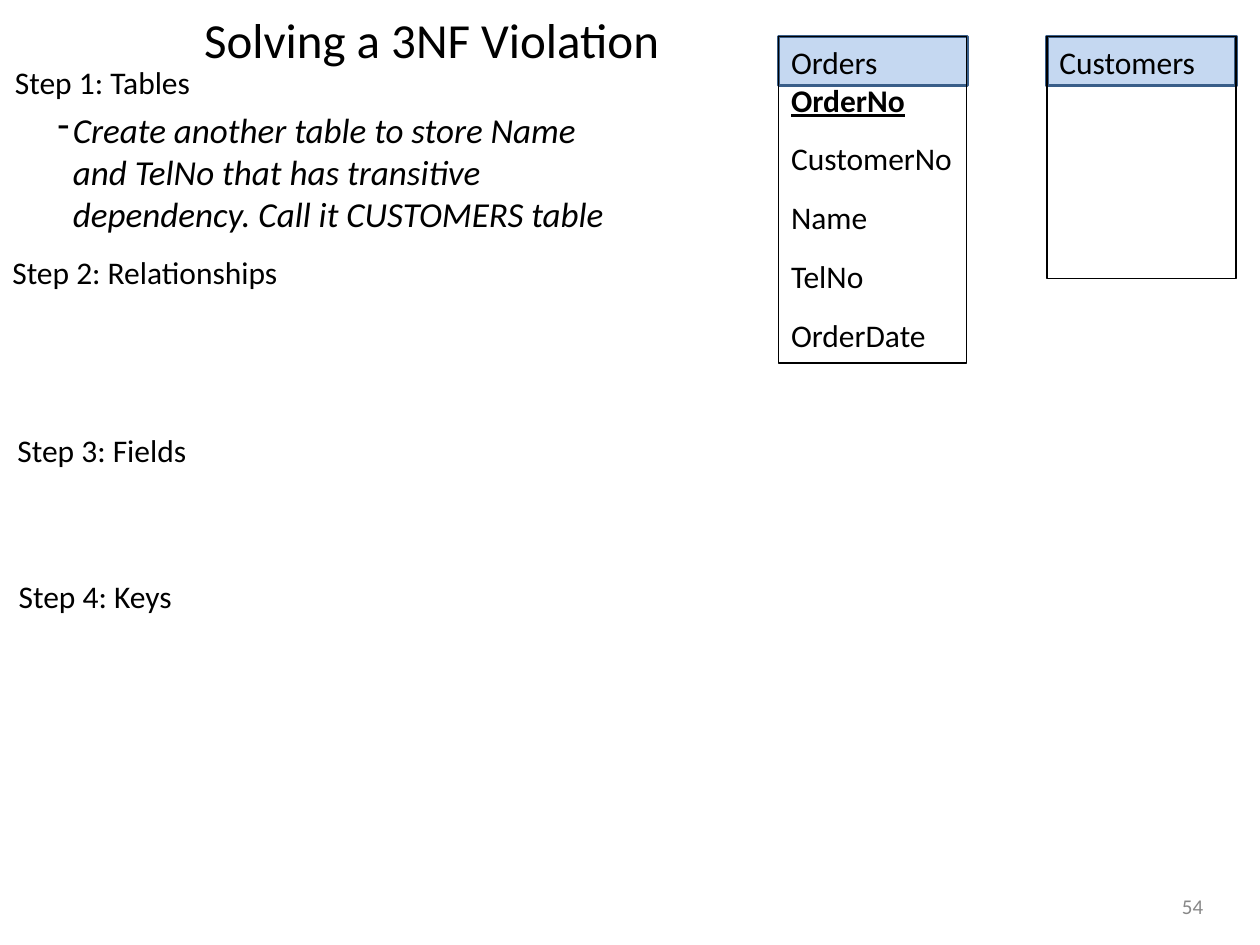
import pptx
import pptx.util
import pptx.dml.color
import pptx.enum.shapes
import pptx.enum.text
import pptx.oxml
import pptx.oxml.ns
from pptx.util import Inches

RGBColor = pptx.dml.color.RGBColor
BLACK = RGBColor(0x00, 0x00, 0x00)
GRAY = RGBColor(0x88, 0x88, 0x88)
HEADER_FILL = RGBColor(0xC5, 0xD8, 0xF1)
HEADER_LINE = RGBColor(0x39, 0x5E, 0x89)
CENTER = pptx.enum.text.PP_ALIGN.CENTER
LEFT = pptx.enum.text.PP_ALIGN.LEFT
MIDDLE = pptx.enum.text.MSO_ANCHOR.MIDDLE
TOP = pptx.enum.text.MSO_ANCHOR.TOP


class SlideBuilder:
    font = "Calibri"
    body_size = 18
    field_gap = 12

    def __init__(self, slide):
        self.s = slide

    def style(self, p, size, color=BLACK, align=LEFT):
        p.alignment = align
        p.font.name = self.font
        p.font.size = pptx.util.Pt(size)
        p.font.color.rgb = color

    def text(self, text, x, y, w, h, size=body_size, color=BLACK,
             align=LEFT, anchor=TOP):
        sp = self.s.shapes.add_textbox(Inches(x), Inches(y), Inches(w), Inches(h))
        tf = sp.text_frame
        tf.word_wrap = True
        tf.vertical_anchor = anchor
        p = tf.paragraphs[0]
        p.text = text
        self.style(p, size, color, align)
        return p

    def dash_item(self, text, x, y, w, h, size):
        p = self.text(text, x, y, w, h, size)
        pPr = p._p.get_or_add_pPr()
        pPr.set("marL", str(Inches(0.12)))
        pPr.set("indent", str(Inches(-0.14)))
        bullet = pptx.oxml.parse_xml(
            '<a:buChar %s char="-"/>' % pptx.oxml.ns.nsdecls("a"))
        pPr.insert(0, bullet)
        p.font.italic = True

    def rect(self, x, y, w, h, line, width, fill=None):
        sp = self.s.shapes.add_shape(
            pptx.enum.shapes.MSO_SHAPE.RECTANGLE,
            Inches(x), Inches(y), Inches(w), Inches(h))
        sp.shadow.inherit = False
        if fill is None:
            sp.fill.background()
        else:
            sp.fill.solid()
            sp.fill.fore_color.rgb = fill
        sp.line.color.rgb = line
        sp.line.width = pptx.util.Pt(width)
        return sp

    def entity(self, name, fields, x, y, w, h):
        """Header band under an outlined box; the first field is the key."""
        self.rect(x, y, 1.5, 0.39, HEADER_LINE, 2, HEADER_FILL)
        tf = self.rect(x, y, w, h, BLACK, 0.75).text_frame
        tf.word_wrap = True
        tf.vertical_anchor = TOP
        p = tf.paragraphs[0]
        p.text = name
        self.style(p, self.body_size)
        for i, field in enumerate(fields):
            p = tf.add_paragraph()
            p.text = field
            self.style(p, self.body_size)
            if i == 0:
                p.font.bold = True
                p.font.underline = True
            else:
                p.space_before = pptx.util.Pt(self.field_gap)


def main():
    prs = pptx.Presentation()
    prs.slide_width, prs.slide_height = Inches(10), Inches(7.5)
    b = SlideBuilder(prs.slides.add_slide(prs.slide_layouts[6]))

    # Title
    b.text("Solving a 3NF Violation", 0.51, 0.02, 5.83, 0.58, 28,
           align=CENTER, anchor=MIDDLE)

    # Steps
    for label, x, y, w in (
        ("Step 1: Tables", 0.02, 0.45, 1.81),
        ("Step 2: Relationships", 0, 1.96, 2.56),
        ("Step 3: Fields", 0.04, 3.37, 1.73),
        ("Step 4: Keys", 0.05, 4.53, 1.62),
    ):
        b.text(label, x, y, w, 0.4)
    b.dash_item("Create another table to store Name and TelNo that has "
                "transitive dependency. Call it CUSTOMERS table",
                0.36, 0.81, 4.72, 1.11, 20)

    # Page number
    b.text("54", 9.17, 7.03, 0.59, 0.32, 12, GRAY, CENTER, MIDDLE)

    # Entities
    b.entity("Orders", ["OrderNo", "CustomerNo", "Name", "TelNo", "OrderDate"],
             6.18, 0.29, 1.49, 2.59)
    b.entity("Customers", [], 8.31, 0.29, 1.5, 1.92)

    prs.save("out.pptx")


if __name__ == "__main__":
    main()
